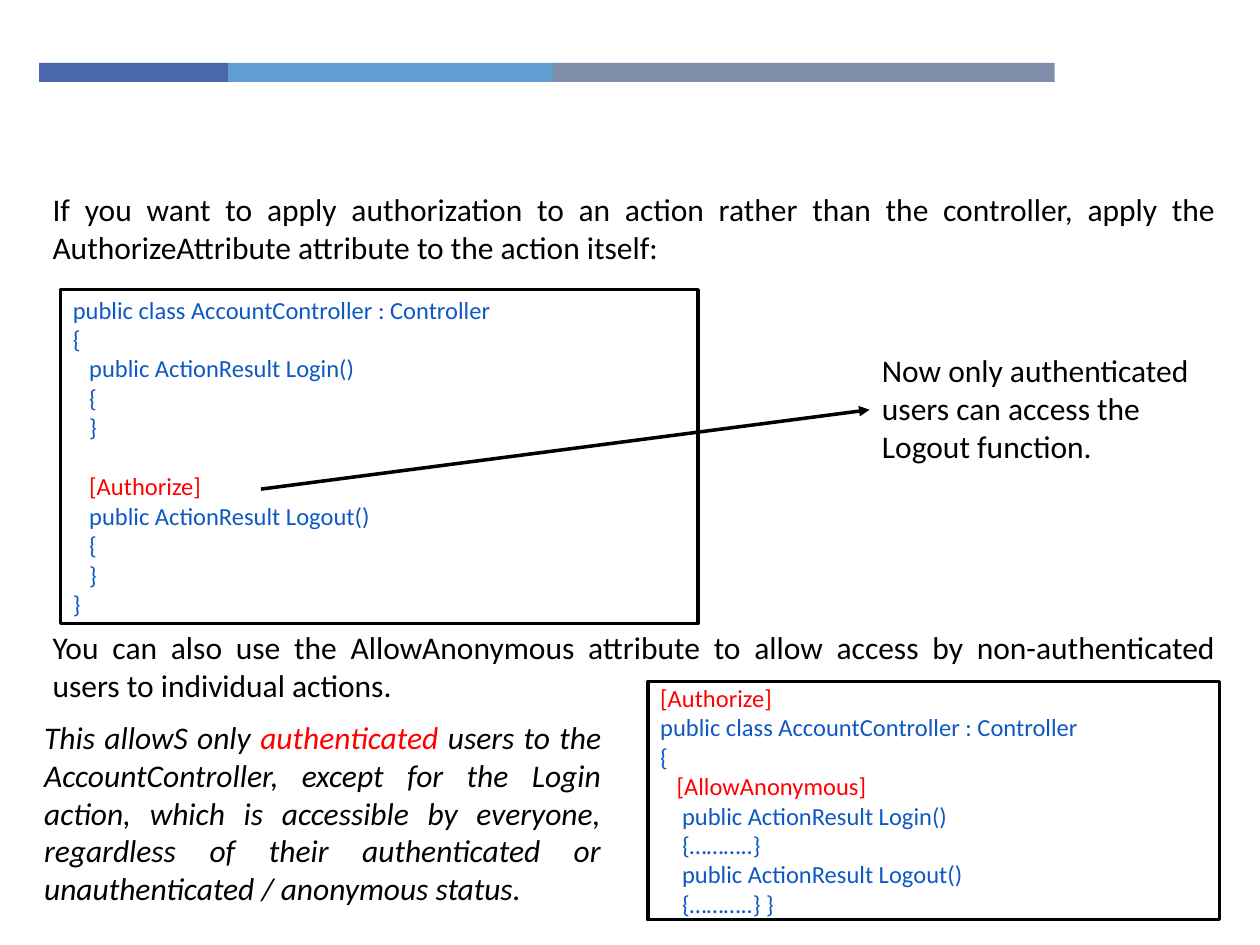
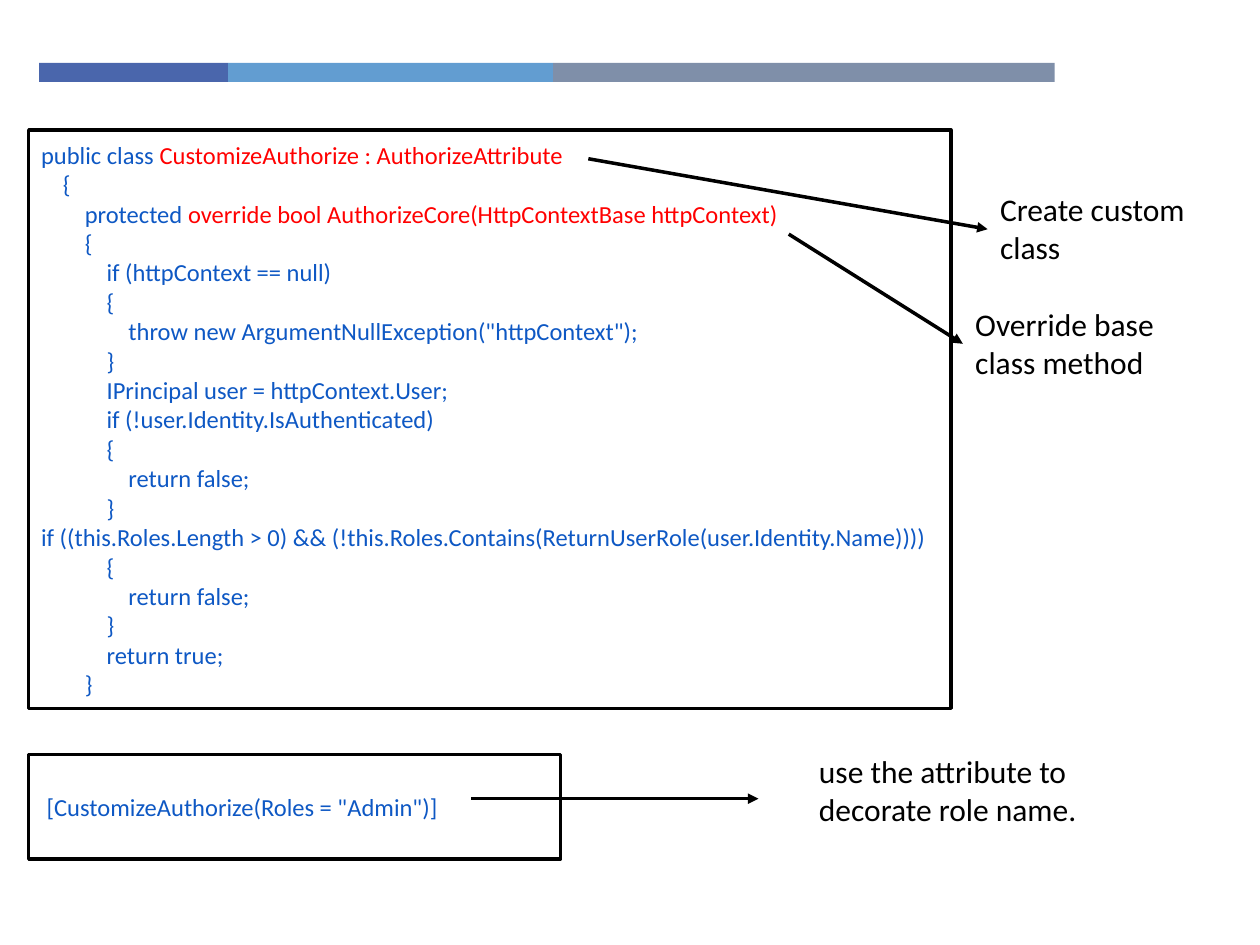
from lxml import etree
from pptx import Presentation
from pptx import util as u
from pptx.dml.color import RGBColor
from pptx.enum import shapes, text
from pptx.oxml import ns

COLOURS = {
    "band_blue": "4A66AC",
    "band_sky": "629DD1",
    "band_grey": "7F8FA9",
    "code": "0E58C4",
    "accent": "FF0000",
    "ink": "000000",
    "paper": "FFFFFF",
}
BANDS = [("band_blue", 3.81), ("band_sky", 6.55), ("band_grey", 10.11)]
FONT = "Calibri"
SPACE_WIDTH = 0.11
LINE_HEIGHT = 1.22

ACTION_CODE = """\
public class AccountController : Controller
{
   public ActionResult Login()
   {
   }

   |[Authorize]|
   public ActionResult Logout()
   {
   }
}"""

ANONYMOUS_CODE = """\
|[Authorize]|
public class AccountController : Controller
{
   |[AllowAnonymous]|
    public ActionResult Login()
    {………..}
    public ActionResult Logout()
    {………..} }"""

CUSTOM_CODE = """\
public class |CustomizeAuthorize : AuthorizeAttribute|
    {
        protected |override bool AuthorizeCore(HttpContextBase httpContext)|
        {
            if (httpContext == null)
            {
                throw new ArgumentNullException("httpContext");
            }
            IPrincipal user = httpContext.User;
            if (!user.Identity.IsAuthenticated)
            {
                return false;
            }
if ((this.Roles.Length > 0) && (!this.Roles.Contains(ReturnUserRole(user.Identity.Name))))
            {
                return false;
            }
            return true;
        }"""


def colour(name):
    return RGBColor.from_string(COLOURS[name])


def write_text(frame, content, size=18, ink="ink", italic=False, align="LEFT", gap=0):
    """Lines become paragraphs; parts between bars take the accent colour."""
    first, blank_lines = True, 0
    for line in content.split("\n"):
        words = line.lstrip(" ")
        if not words:
            blank_lines += 1
            continue
        para = frame.paragraphs[0] if first else frame.add_paragraph()
        para.alignment = text.PP_ALIGN[align]
        before = blank_lines * size * LINE_HEIGHT + (0 if first else gap)
        para.space_before = u.Pt(round(before))
        margin = u.Cm(SPACE_WIDTH * (len(line) - len(words)))
        para._p.get_or_add_pPr().set("marL", str(margin))
        for index, part in enumerate(words.split("|")):
            if part:
                span = para.add_run()
                span.text = part
                span.font.name = FONT
                span.font.size = u.Pt(size)
                span.font.italic = italic
                span.font.color.rgb = colour("accent" if index % 2 else ink)
        first, blank_lines = False, 0


class Slides:
    def __init__(self):
        self.deck = Presentation()
        self.deck.slide_width = u.Cm(25.4)
        self.deck.slide_height = u.Cm(19.05)
        self.page = None

    def add_page(self):
        self.page = self.deck.slides.add_slide(self.deck.slide_layouts[6])
        left = 0.79
        for fill, width in BANDS:
            self.add_box(left, 1.27, width, 0.38, fill)
            left += width

    def add_box(self, left, top, width, height, fill):
        box = self.page.shapes.add_shape(
            shapes.MSO_SHAPE.RECTANGLE, *map(u.Cm, (left, top, width, height)))
        box.shadow.inherit = False
        box.fill.solid()
        box.fill.fore_color.rgb = colour(fill)
        box.line.fill.background()
        return box

    def add_code(self, left, top, width, height, code):
        box = self.add_box(left, top, width, height, "paper")
        box.line.color.rgb = colour("ink")
        box.line.width = u.Pt(2)
        box.text_frame.word_wrap = True
        box.text_frame.vertical_anchor = text.MSO_ANCHOR.MIDDLE
        write_text(box.text_frame, code, size=14, ink="code")

    def add_note(self, left, top, width, height, content, **style):
        box = self.page.shapes.add_textbox(*map(u.Cm, (left, top, width, height)))
        box.text_frame.word_wrap = True
        write_text(box.text_frame, content, **style)

    def add_arrow(self, *ends):
        arrow = self.page.shapes.add_connector(
            shapes.MSO_CONNECTOR.STRAIGHT, *map(u.Cm, ends))
        arrow.line.color.rgb = colour("ink")
        arrow.line.width = u.Pt(2)
        etree.SubElement(arrow.line._get_or_add_ln(), ns.qn("a:tailEnd"), type="triangle")
        etree.SubElement(arrow._element.spPr, ns.qn("a:effectLst"))


def build_action_page(slides):
    slides.add_page()
    slides.add_code(1.22, 5.84, 12.85, 6.73, ACTION_CODE)
    slides.add_arrow(5.26, 9.86, 17.53, 8.26)
    slides.add_note(17.53, 6.96, 7.06, 2.57,
                    "Now only authenticated users can access the Logout function.")
    slides.add_note(
        0.81, 3.71, 23.95, 14.83,
        "If you want to apply authorization to an action rather than the controller, "
        "apply the AuthorizeAttribute attribute to the action itself:\n"
        "You can also use the AllowAnonymous attribute to allow access by "
        "non-authenticated users to individual actions.",
        align="JUSTIFY", gap=207)
    slides.add_code(13.06, 13.74, 11.53, 4.8, ANONYMOUS_CODE)
    slides.add_note(
        0.64, 14.35, 11.73, 4.11,
        "This allowS only |authenticated| users to the AccountController, except for "
        "the Login action, which is accessible by everyone, regardless of their "
        "authenticated or unauthenticated / anonymous status.",
        italic=True, align="JUSTIFY")


def build_custom_page(slides):
    slides.add_page()
    slides.add_code(0.58, 2.62, 18.59, 11.66, CUSTOM_CODE)
    slides.add_note(19.41, 6.02, 4.52, 1.8, "Override base class method")
    slides.add_note(19.91, 3.71, 4.27, 1.8, "Create custom class")
    slides.add_arrow(15.9, 4.72, 19.41, 6.93)
    slides.add_arrow(11.86, 3.2, 19.91, 4.62)
    slides.add_code(0.58, 15.21, 10.72, 2.11, ' [CustomizeAuthorize(Roles = "Admin")]')
    slides.add_arrow(9.5, 16.1, 15.29, 16.1)
    slides.add_note(16.26, 15.04, 7.06, 1.8, "use the attribute to decorate role name.")


def main():
    slides = Slides()
    build_action_page(slides)
    build_custom_page(slides)
    slides.deck.save("out.pptx")


if __name__ == "__main__":
    main()
